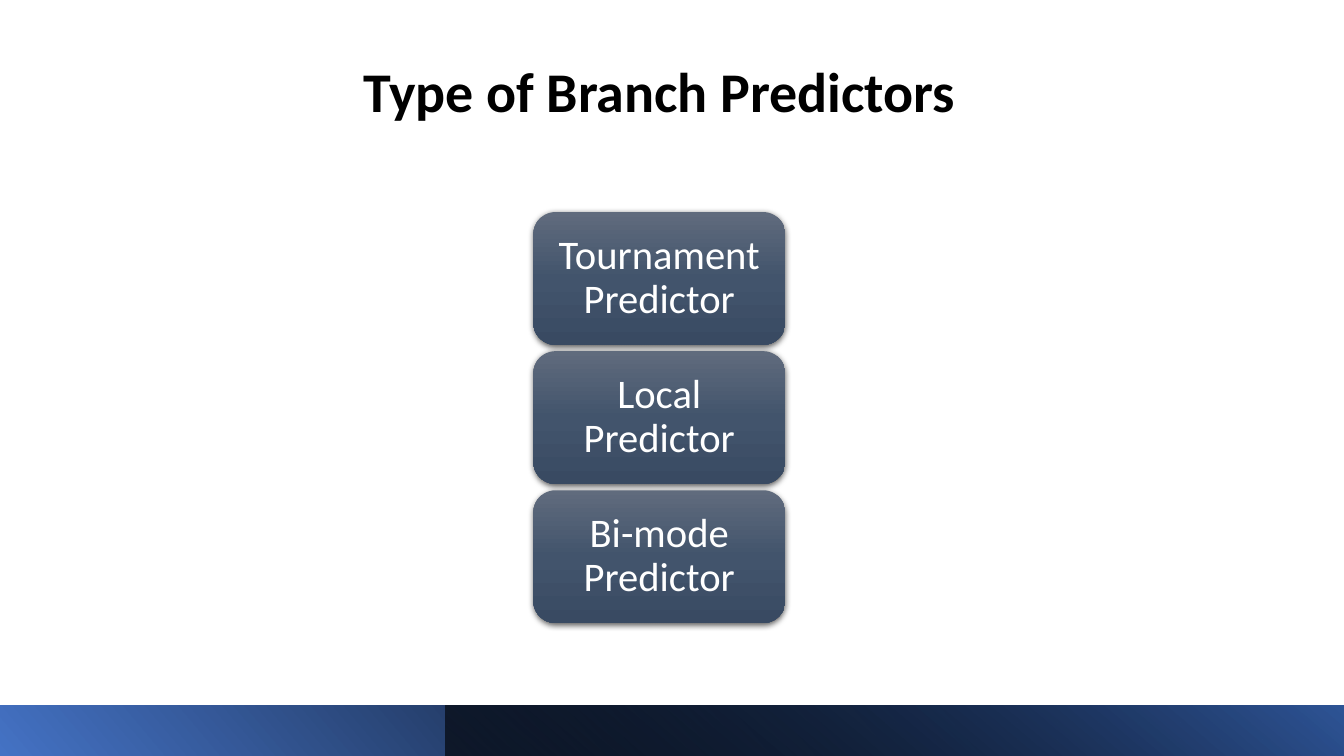
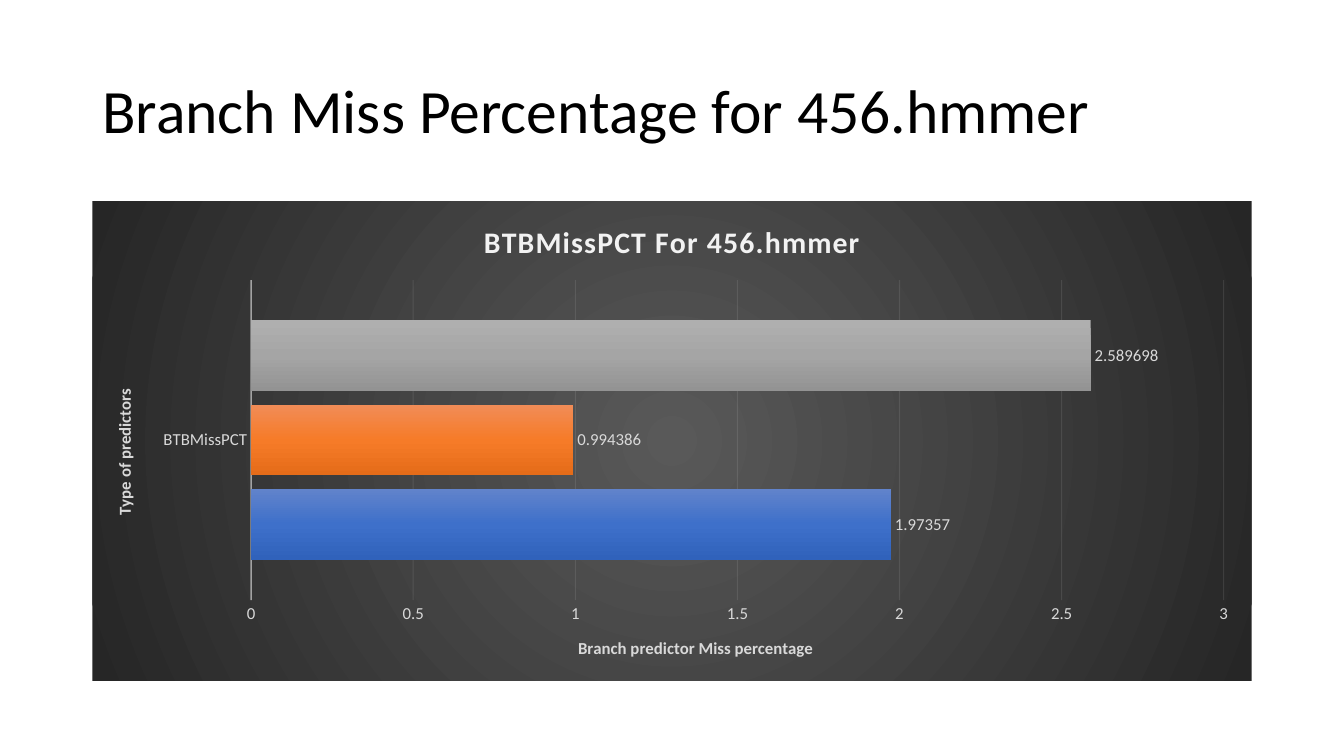
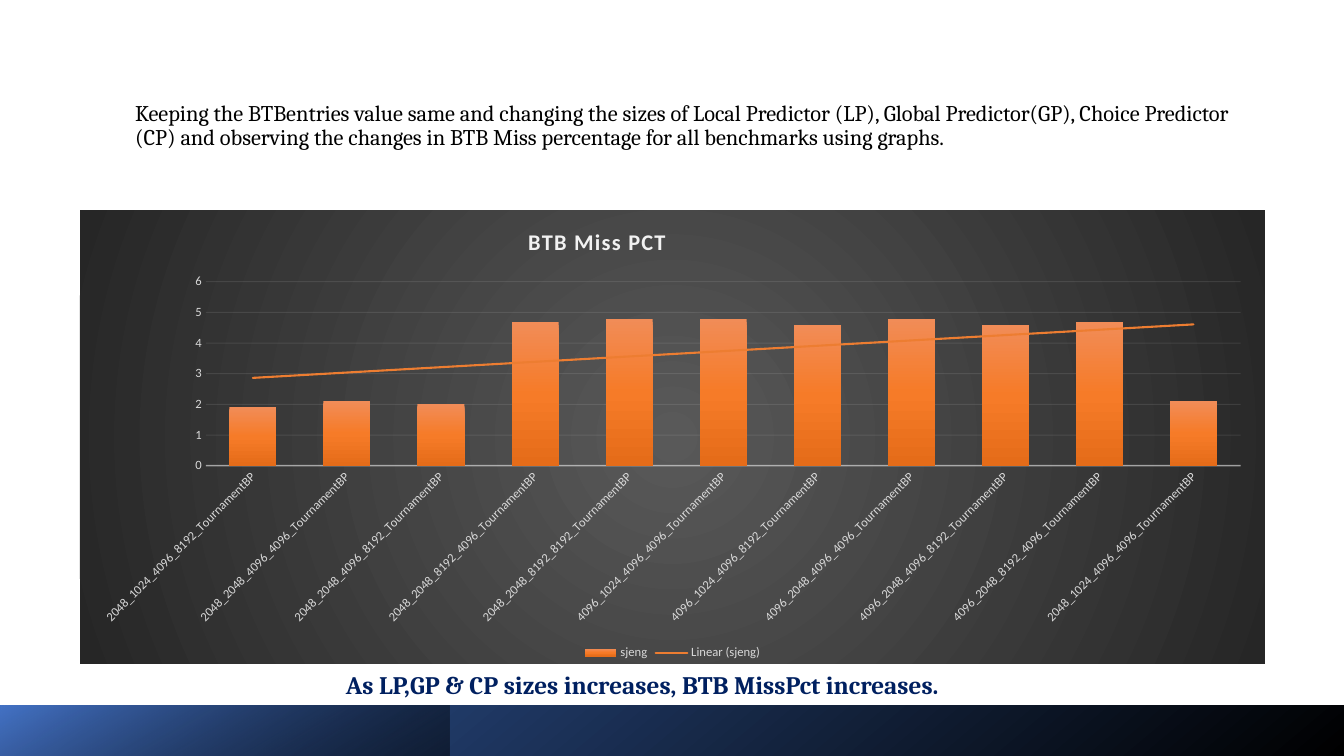
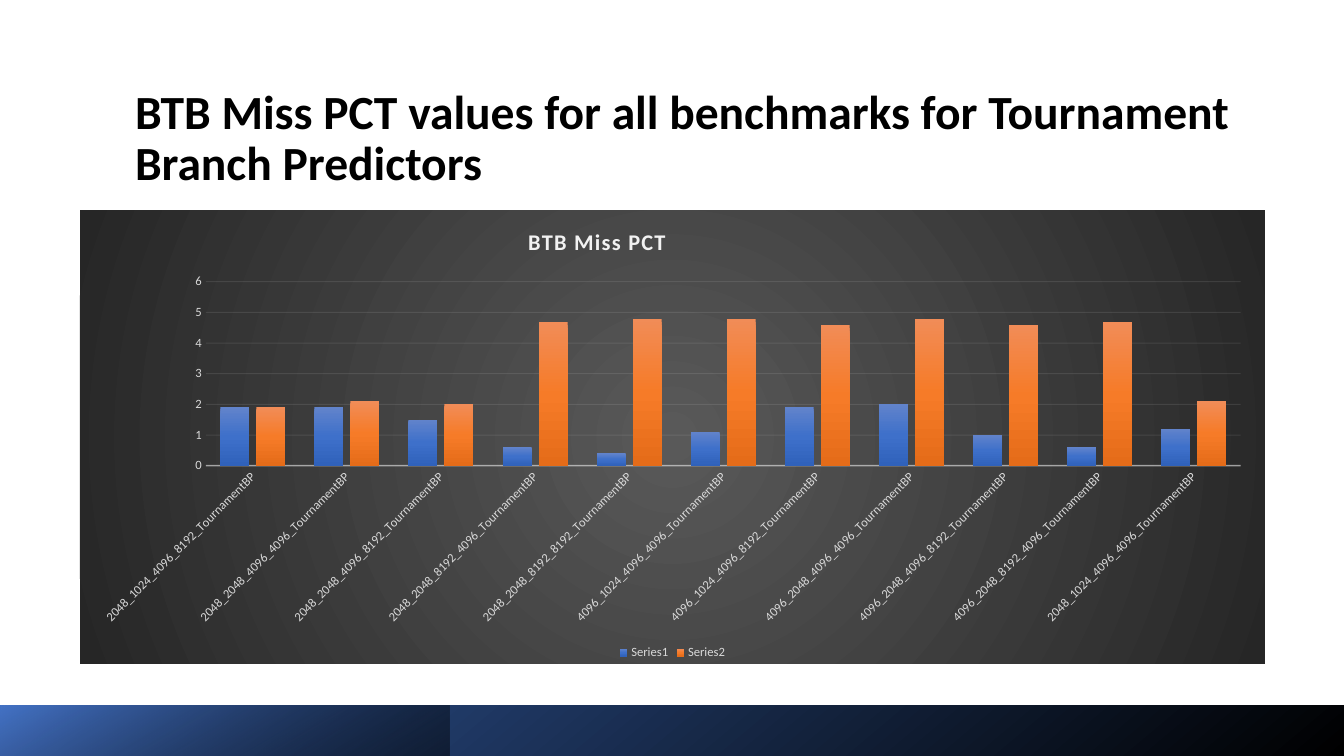
"""Build four slides comparing branch predictors by BTB miss percentage."""
from dataclasses import dataclass
from typing import NamedTuple, Optional

from pptx import Presentation, oxml, util as u
from pptx.chart import data as chart_data
from pptx.dml.color import RGBColor
from pptx.enum import chart as ch, shapes, text
from pptx.oxml import ns

CELLS_PER_INCH = 12
COLUMNS, ROWS = 160, 90
COLORS = {
    "ink": "000000", "paper": "FFFFFF", "navy": "002060",
    "royal": "2F5597", "sky": "4472C4", "trend": "ED7D31",
    "heading": "F2F2F2", "label": "D9D9D9",
}


class Frame(NamedTuple):
    left: float
    top: float
    width: float
    height: float


class Stop(NamedTuple):
    position: int
    color: str
    opacity: int = 100


class Band(NamedTuple):
    frame: Frame
    stops: list[Stop]
    angle: int
    flipped: bool = False
    rotation: int = 0


class Series(NamedTuple):
    name: str
    values: list[float]
    stops: list[Stop]


@dataclass
class Title:
    words: str
    frame: Frame
    size: int
    font: str = "Calibri"
    bold: bool = False
    align: text.PP_ALIGN = text.PP_ALIGN.LEFT
    anchor: text.MSO_ANCHOR = text.MSO_ANCHOR.MIDDLE
    bottom_inset: float = 0.6


@dataclass
class BarChart:
    heading: str
    frame: Frame
    plot: Frame
    kind: ch.XL_CHART_TYPE
    categories: list[str]
    series: list[Series]
    heading_size: float
    label_size: int
    maximum: float
    step: float
    gap: int
    overlap: int
    heading_spot: Optional[tuple[float, float]] = None
    axis_titles: tuple[str, ...] = ()
    label_angle: int = 0
    legend: bool = False
    value_labels: bool = False
    trend: bool = False


def shades(*colors: str) -> list[Stop]:
    return [Stop(round(i * 100 / (len(colors) - 1)), c) for i, c in enumerate(colors)]


BLUE = shades("6183CB", "3E70CA", "3062BB")
ORANGE = shades("F18C57", "F67B28", "E56C19")
GREY = shades("AFAFAF", "A5A5A5", "939393")
SLATE = shades("606B7D", "42546C", "394A62")
CHARCOAL = shades("595959", "262626")

OPENING_BANDS = [
    Band(Frame(0, 84, COLUMNS, 6), [Stop(0, COLORS["sky"]), Stop(78, COLORS["ink"])],
         40, True, 180),
    Band(Frame(53, 84, 107, 6), [Stop(0, COLORS["ink"], 63), Stop(100, COLORS["royal"])],
         230, True),
]
RESULT_BANDS = [
    Band(Frame(0, 84, COLUMNS, 6.1), [Stop(0, COLORS["ink"]), Stop(100, COLORS["royal"])], 230),
    Band(Frame(0, 84, 53.5, 6.1), [Stop(0, COLORS["ink"], 46), Stop(99, COLORS["sky"])], 240),
]
RESULT_TITLE = Frame(14.88, 9.4, 133.56, 14.4)
PREDICTORS = ["Tournament Predictor", "Local Predictor", "Bi-mode Predictor"]
SIZES = [
    "2048_1024_4096_8192", "2048_2048_4096_4096", "2048_2048_4096_8192",
    "2048_2048_8192_4096", "2048_2048_8192_8192", "4096_1024_4096_4096",
    "4096_1024_4096_8192", "4096_2048_4096_4096", "4096_2048_4096_8192",
    "4096_2048_8192_4096", "2048_1024_4096_4096",
]
FIRST_MISSES = [1.9, 1.9, 1.5, 0.6, 0.4, 1.1, 1.9, 2, 1, 0.6, 1.2]
SJENG_MISSES = [1.9, 2.1, 2, 4.7, 4.8, 4.8, 4.6, 4.8, 4.6, 4.7, 2.1]


def cells(count: float) -> u.Length:
    return u.Inches(count / CELLS_PER_INCH)


def place(frame: Frame) -> list[u.Length]:
    return [cells(length) for length in frame]


def rgb(name: str) -> RGBColor:
    return RGBColor.from_string(COLORS[name])


def style(font, size: float, color: str, bold: bool = False, name: str = "Calibri") -> None:
    font.size, font.bold, font.name = u.Pt(size), bold, name
    font.color.rgb = rgb(color)


def gradient(stops: list[Stop], angle: Optional[int] = None):
    marks = "".join(
        f'<a:gs pos="{s.position * 1000}"><a:srgbClr val="{s.color}">'
        f'<a:alpha val="{s.opacity * 1000}"/></a:srgbClr></a:gs>' for s in stops)
    if angle is None:
        course = ('<a:path path="circle"><a:fillToRect l="50000" t="50000" '
                  'r="50000" b="50000"/></a:path>')
    else:
        course = f'<a:lin ang="{angle * 60000}" scaled="0"/>'
    return oxml.parse_xml(f'<a:gradFill {ns.nsdecls("a")} rotWithShape="1">'
                          f'<a:gsLst>{marks}</a:gsLst>{course}</a:gradFill>')


def fill_gradient(fill, properties, stops: list[Stop], angle: int) -> None:
    fill.solid()
    solid = properties.find(ns.qn("a:solidFill"))
    properties.replace(solid, gradient(stops, angle))


def add_panel(slide, kind: shapes.MSO_SHAPE, frame: Frame, stops: list[Stop], angle: int):
    panel = slide.shapes.add_shape(kind, *place(frame))
    fill_gradient(panel.fill, panel._element.spPr, stops, angle)
    panel.line.fill.background()
    panel.shadow.inherit = False
    return panel


def add_bands(slide, bands: list[Band]) -> None:
    for band in bands:
        strip = add_panel(slide, shapes.MSO_SHAPE.RECTANGLE, band.frame, band.stops, band.angle)
        strip.rotation = band.rotation
        if band.flipped:
            strip._element.spPr.xfrm.set("flipH", "1")


def add_slide(deck, title: Title, bands: list[Band]):
    slide = deck.slides.add_slide(deck.slide_layouts[5])
    heading = slide.shapes.title
    heading.left, heading.top, heading.width, heading.height = place(title.frame)
    body = heading.text_frame
    body.text = title.words
    body.word_wrap, body.auto_size = True, text.MSO_AUTO_SIZE.NONE
    body.vertical_anchor, body.margin_bottom = title.anchor, cells(title.bottom_inset)
    line = body.paragraphs[0]
    line.alignment, line.line_spacing = title.align, 0.9
    style(line.runs[0].font, title.size, "ink", title.bold, title.font)
    add_bands(slide, bands)
    return slide


def add_predictor(slide, words: str, frame: Frame) -> None:
    card = add_panel(slide, shapes.MSO_SHAPE.ROUNDED_RECTANGLE, frame, SLATE, 90)
    card._element.spPr.find(ns.qn("a:effectLst")).append(oxml.parse_xml(
        f'<a:outerShdw {ns.nsdecls("a")} blurRad="57150" dist="19050" dir="5400000" '
        f'algn="ctr" rotWithShape="0"><a:srgbClr val="{COLORS["ink"]}">'
        '<a:alpha val="63000"/></a:srgbClr></a:outerShdw>'))
    body = card.text_frame
    body.text, body.word_wrap = words, True
    body.vertical_anchor = text.MSO_ANCHOR.MIDDLE
    body.margin_left = body.margin_right = cells(2.1)
    body.margin_top = body.margin_bottom = cells(1.4)
    line = body.paragraphs[0]
    line.alignment, line.line_spacing = text.PP_ALIGN.CENTER, 0.9
    style(line.runs[0].font, 29, "paper")


def set_layout(parent, index: int, target: str = "", **shares: float) -> None:
    for old in parent.findall(ns.qn("c:layout")):
        parent.remove(old)
    inner = f'<c:layoutTarget val="{target}"/>' if target else ""
    modes = "".join(f'<c:{axis}Mode val="edge"/>' for axis in "xy")
    sides = "".join(f'<c:{side} val="{share}"/>' for side, share in shares.items())
    parent.insert(index, oxml.parse_xml(
        f'<c:layout {ns.nsdecls("c")}><c:manualLayout>{inner}{modes}{sides}'
        '</c:manualLayout></c:layout>'))


def draw_line(line, width: float, opacity: int) -> None:
    line.width = u.Pt(width)
    line.color.rgb = rgb("heading")
    for color in line._get_or_add_ln().iter(ns.qn("a:srgbClr")):
        color.append(oxml.parse_xml(f'<a:alpha {ns.nsdecls("a")} val="{opacity * 1000}"/>'))


def add_trend(series) -> None:
    series._element.find(ns.qn("c:cat")).addprevious(oxml.parse_xml(
        f'<c:trendline {ns.nsdecls("c", "a")}><c:spPr><a:ln w="19050" cap="rnd"><a:solidFill>'
        f'<a:srgbClr val="{COLORS["trend"]}"/></a:solidFill></a:ln></c:spPr>'
        '<c:trendlineType val="linear"/><c:dispRSqr val="0"/><c:dispEq val="0"/>'
        '</c:trendline>'))


def format_axes(chart, plan: BarChart) -> None:
    categories, values = chart.category_axis, chart.value_axis
    for axis in (categories, values):
        axis.major_tick_mark = axis.minor_tick_mark = ch.XL_TICK_MARK.NONE
        style(axis.tick_labels.font, plan.label_size, "label")
    for axis, words in zip((categories, values), plan.axis_titles):
        axis.axis_title.text_frame.text = words
        style(axis.axis_title.text_frame.paragraphs[0].runs[0].font,
              plan.label_size, "label", True)
    draw_line(categories.format.line, 1, 54)
    if plan.label_angle:
        turn = categories._element.find(ns.qn("c:txPr")).find(ns.qn("a:bodyPr"))
        turn.set("rot", str(plan.label_angle * 60000))
    values.minimum_scale, values.maximum_scale, values.major_unit = 0, plan.maximum, plan.step
    values.format.line.fill.background()
    draw_line(values.major_gridlines.format.line, 0.75, 10)


def format_heading(chart, plan: BarChart) -> None:
    chart.has_title = True
    heading = chart.chart_title
    heading.text_frame.text = plan.heading
    run = heading.text_frame.paragraphs[0].runs[0]
    style(run.font, plan.heading_size, "heading", True)
    run._r.get_or_add_rPr().set("spc", "100")
    if plan.heading_spot:
        x, y = plan.heading_spot
        set_layout(heading._element, 1, x=x / plan.frame.width, y=y / plan.frame.height)


def format_series(plot, plan: BarChart) -> None:
    plot.gap_width, plot.overlap, plot.vary_by_categories = plan.gap, plan.overlap, False
    for series, figures in zip(plot.series, plan.series):
        fill_gradient(series.format.fill, series._element.get_or_add_spPr(), figures.stops, 90)
        if not figures.name:
            series._element.remove(series._element.find(ns.qn("c:tx")))
        if plan.value_labels:
            labels = series.data_labels
            labels.show_value = True
            labels.position = ch.XL_LABEL_POSITION.OUTSIDE_END
            style(labels.font, plan.label_size, "label")
        if plan.trend:
            add_trend(series)


def add_bar_chart(slide, plan: BarChart) -> None:
    figures = chart_data.CategoryChartData()
    figures.categories = plan.categories
    for series in plan.series:
        figures.add_series(series.name, series.values)
    chart = slide.shapes.add_chart(plan.kind, *place(plan.frame), figures).chart
    style(chart.font, 10, "ink")
    backdrop = oxml.parse_xml(f'<c:spPr {ns.nsdecls("c", "a")}><a:ln><a:noFill/></a:ln></c:spPr>')
    backdrop.insert(0, gradient(CHARCOAL))
    chart._chartSpace.chart.addnext(backdrop)
    format_heading(chart, plan)
    format_axes(chart, plan)
    format_series(chart.plots[0], plan)
    set_layout(chart._chartSpace.chart.plotArea, 0, "inner",
               x=plan.plot.left / plan.frame.width, y=plan.plot.top / plan.frame.height,
               w=plan.plot.width / plan.frame.width, h=plan.plot.height / plan.frame.height)
    chart.has_legend = plan.legend
    if plan.legend:
        chart.legend.position = ch.XL_LEGEND_POSITION.BOTTOM
        chart.legend.include_in_layout = False
        style(chart.legend.font, plan.label_size, "label")


def tournament_chart(series: list[Series], trend: bool = False) -> BarChart:
    return BarChart(
        "BTB Miss PCT", Frame(9.5, 25.05, 141.1, 54), Frame(15, 8.5, 123.2, 21.9),
        ch.XL_CHART_TYPE.COLUMN_CLUSTERED, [f"{size}_TournamentBP" for size in SIZES], series,
        heading_size=16, label_size=9, maximum=6, step=1, gap=100, overlap=-24,
        heading_spot=(52.9, 1.45), label_angle=-45, legend=True, trend=trend)


def add_types(deck) -> None:
    slide = add_slide(deck, Title(
        "Type of Branch Predictors", Frame(14.88, 6.6, 127.2, 8.88), 40, bold=True,
        align=text.PP_ALIGN.CENTER, anchor=text.MSO_ANCHOR.BOTTOM), OPENING_BANDS)
    for row, predictor in enumerate(PREDICTORS):
        add_predictor(slide, predictor, Frame(63.5, 25.25, 30, 15.8)._replace(
            top=25.25 + row * 16.56))


def add_hmmer(deck) -> None:
    slide = add_slide(deck, Title(
        "Branch Miss Percentage for 456.hmmer", Frame(11, 4.8, 138, 17.4), 44), [])
    add_bar_chart(slide, BarChart(
        "BTBMissPCT For 456.hmmer", Frame(11, 23.95, 138, 57.1), Frame(18.9, 9.4, 115.8, 38.1),
        ch.XL_CHART_TYPE.BAR_CLUSTERED, ["BTBMissPCT"],
        [Series("Series 1", [1.97357], BLUE), Series("Series 2", [0.994386], ORANGE),
         Series("Series 3", [2.589698], GREY)],
        heading_size=21.3, label_size=12, maximum=3, step=0.5, gap=115, overlap=-20,
        axis_titles=("Type of predictors", "Branch predictor Miss percentage"),
        value_labels=True))


def add_sjeng(deck) -> None:
    slide = add_slide(deck, Title(
        "Keeping the BTBentries value same and changing the sizes of Local Predictor (LP), "
        "Global Predictor(GP), Choice Predictor (CP) and observing the changes in BTB Miss "
        "percentage for all benchmarks using graphs.",
        RESULT_TITLE, 16, "Cambria", bottom_inset=3.65), RESULT_BANDS)
    add_bar_chart(slide, tournament_chart([Series("sjeng", SJENG_MISSES, ORANGE)], trend=True))
    finding = slide.shapes.add_textbox(*place(Frame(40, 79.1, 80, 4.8))).text_frame
    finding.text, finding.word_wrap = "As LP,GP & CP sizes increases, BTB MissPct increases.", True
    finding.auto_size = text.MSO_AUTO_SIZE.SHAPE_TO_FIT_TEXT
    style(finding.paragraphs[0].runs[0].font, 18, "navy", True, "Cambria")


def add_benchmarks(deck) -> None:
    slide = add_slide(deck, Title(
        "BTB Miss PCT values for all benchmarks for Tournament Branch Predictors",
        RESULT_TITLE, 34, bold=True), RESULT_BANDS)
    add_bar_chart(slide, tournament_chart(
        [Series("", FIRST_MISSES, BLUE), Series("", SJENG_MISSES, ORANGE)]))


def main() -> None:
    deck = Presentation()
    deck.slide_width, deck.slide_height = cells(COLUMNS), cells(ROWS)
    for add_part in (add_types, add_hmmer, add_sjeng, add_benchmarks):
        add_part(deck)
    deck.save("out.pptx")


if __name__ == "__main__":
    main()
